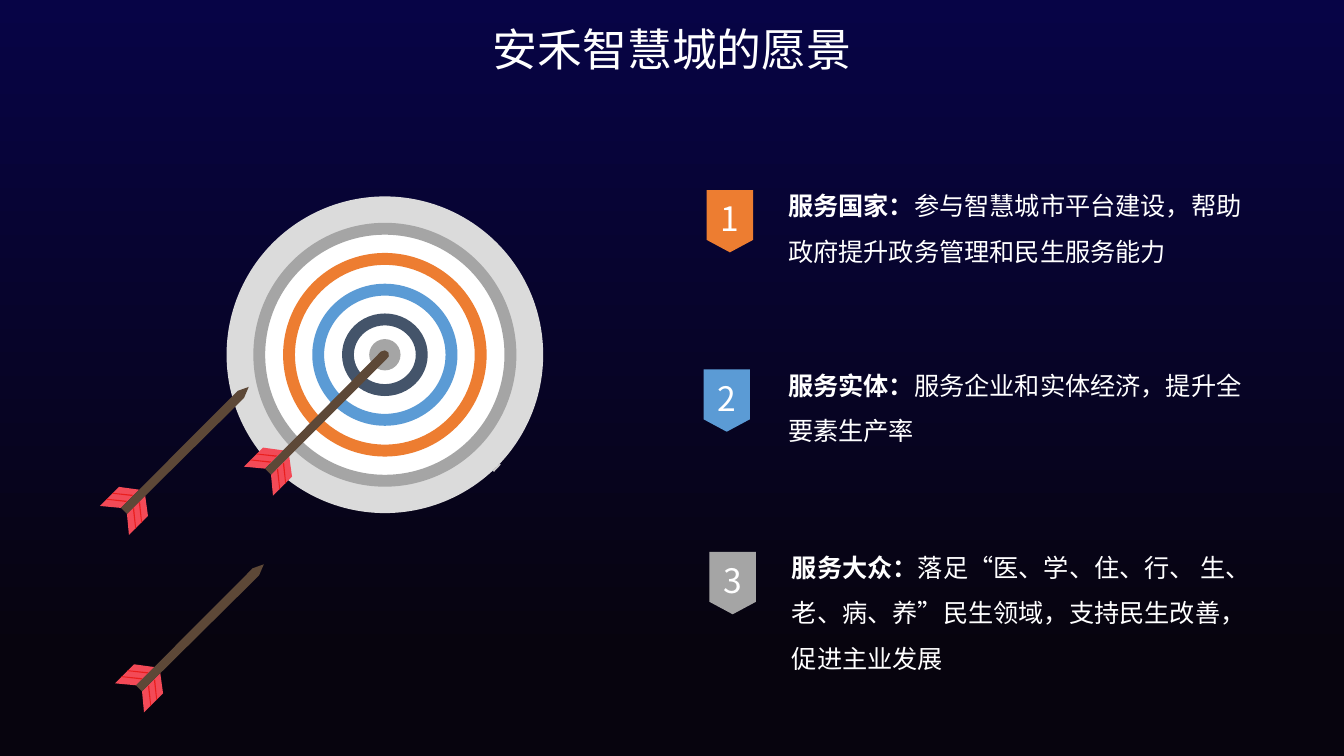
from dataclasses import dataclass

from lxml.etree import SubElement
from pptx import Presentation
from pptx.dml.color import RGBColor
from pptx.enum.shapes import MSO_SHAPE
from pptx.enum.text import MSO_ANCHOR, MSO_AUTO_SIZE, PP_ALIGN
from pptx.oxml.ns import qn
from pptx.util import Cm, Pt

FONT = "Noto Sans CJK SC"
WHITE = RGBColor(0xFF, 0xFF, 0xFF)
NAVY = RGBColor(0x07, 0x04, 0x46)
BLACK = RGBColor(0x07, 0x04, 0x0E)
PALE = RGBColor(0xDB, 0xDB, 0xDB)
GLINT = RGBColor(0xC9, 0xC8, 0xC8)
GREY = RGBColor(0xA5, 0xA5, 0xA5)
ORANGE = RGBColor(0xED, 0x7D, 0x31)
BLUE = RGBColor(0x5B, 0x9B, 0xD5)
SLATE = RGBColor(0x44, 0x54, 0x6A)
PINK = RGBColor(0xF3, 0x4A, 0x57)
RED = RGBColor(0xEA, 0x1E, 0x1D)
BROWN = RGBColor(0x5D, 0x48, 0x37)

Points = list[tuple[float, float]]


@dataclass
class Disc:
    width: float
    height: float
    color: RGBColor
    band: float = 0


@dataclass
class Arrow:
    x: float
    y: float
    tip: Points


@dataclass
class Goal:
    x: float
    y: float
    width: float
    height: float
    gap: float
    color: RGBColor
    head: str
    body: str


CENTER = (9.7, 8.94)
BAND = 0.3
DISCS = [
    Disc(7.98, 7.98, PALE),
    Disc(6.35, 6.35, WHITE),
    Disc(6.63, 6.65, GREY, BAND),
    Disc(5.13, 5.13, ORANGE, BAND),
    Disc(3.66, 3.58, BLUE, BAND),
    Disc(2.16, 2.08, SLATE, BAND),
    Disc(0.79, 0.79, GREY),
]

SHARP = [(2.79, -3.1), (3.07, -3.2), (2.95, -2.92)]
BLUNT = [(2.77, -3.1), (2.87, -3.13), (2.96, -3.08), (2.97, -2.98), (2.92, -2.92)]
BACK = Arrow(3.58, 17.42, SHARP)
FRONT = [Arrow(6.83, 11.96, BLUNT), Arrow(3.2, 12.95, SHARP)]

VANE = [(0.46, -0.46), (0.53, 0.05), (0.05, 0.53), (0, 0)]
STRIPE = [(0.33, -0.3), (0.38, 0.2), (0.36, 0.23), (0.3, -0.28)]
NOCK = [(0, 0), (-0.15, -0.15)]
SHINE = [(12.6, 11.68), (12.62, 11.71), (12.45, 11.89), (12.42, 11.86)]

GOALS = [
    Goal(19.86, 4.42, 11.66, 2.18, 2.05, ORANGE, "服务国家：",
         "参与智慧城市平台建设，帮助政府提升政务管理和民生服务能力"),
    Goal(19.86, 8.94, 11.51, 2.18, 2.13, BLUE, "服务实体：",
         "服务企业和实体经济，提升全要素生产率"),
    Goal(19.96, 13.54, 11.79, 3.33, 2.08, GREY, "服务大众：",
         "落足“医、学、住、行、 生、老、病、养”民生领域，支持民生改善，促进主业发展"),
]


def paint(shape, color: RGBColor) -> None:
    shape.shadow.inherit = False
    shape.fill.solid()
    shape.fill.fore_color.rgb = color
    shape.line.fill.background()


def style(para, size: float) -> None:
    font = para.font
    font.size = Pt(size)
    font.color.rgb = WHITE
    font.name = FONT
    SubElement(font._rPr, qn("a:ea"), typeface=FONT)


def clear(frame) -> None:
    frame.margin_left = frame.margin_right = 0
    frame.margin_top = frame.margin_bottom = 0


def trace(shapes, points: Points, color: RGBColor, x: float = 0, y: float = 0) -> None:
    spots = [(Cm(x + dx), Cm(y + dy)) for dx, dy in points]
    path = shapes.build_freeform(*spots[0])
    path.add_line_segments(spots[1:], close=True)
    paint(path.convert_to_shape(), color)


def flip(points: Points) -> Points:
    return [(-y - 0.15, -x - 0.15) for x, y in points]


def draw_disc(shapes, disc: Disc) -> None:
    kind = MSO_SHAPE.DONUT if disc.band else MSO_SHAPE.OVAL
    shape = shapes.add_shape(kind, Cm(CENTER[0] - disc.width / 2), Cm(CENTER[1] - disc.height / 2),
                             Cm(disc.width), Cm(disc.height))
    if disc.band:
        shape.adjustments[0] = disc.band / min(disc.width, disc.height)
    paint(shape, disc.color)


def draw_arrow(shapes, arrow: Arrow) -> None:
    group = shapes.add_group_shape().shapes
    inner = [(x - 0.15, y + 0.15) for x, y in STRIPE]
    for points, color in ((VANE, PINK), (STRIPE, RED), (inner, RED)):
        for side in (points, flip(points)):
            trace(group, side, color, arrow.x, arrow.y)
    trace(group, NOCK + arrow.tip, BROWN, arrow.x, arrow.y)


def draw_goal(shapes, rank: int, goal: Goal) -> None:
    badge = shapes.add_shape(MSO_SHAPE.FLOWCHART_OFFPAGE_CONNECTOR, Cm(goal.x - goal.gap),
                             Cm(goal.y + 0.37), Cm(1.17), Cm(1.57))
    paint(badge, goal.color)
    frame = badge.text_frame
    clear(frame)
    frame.margin_top = Cm(0.18)
    frame.vertical_anchor = MSO_ANCHOR.MIDDLE
    para = frame.paragraphs[0]
    para.text = str(rank)
    para.alignment = PP_ALIGN.CENTER
    style(para, 24)

    frame = shapes.add_textbox(Cm(goal.x), Cm(goal.y), Cm(goal.width), Cm(goal.height)).text_frame
    clear(frame)
    frame.word_wrap = True
    para = frame.paragraphs[0]
    para.line_spacing = 1.5
    style(para, 18)
    for text, bold in ((goal.head, True), (goal.body, False)):
        run = para.add_run()
        run.text = text
        run.font.bold = bold


def draw_title(title, text: str) -> None:
    title.left, title.top, title.width, title.height = Cm(2.26), Cm(0.41), Cm(29.36), Cm(1.78)
    frame = title.text_frame
    frame.auto_size = MSO_AUTO_SIZE.NONE
    frame.vertical_anchor = MSO_ANCHOR.MIDDLE
    para = frame.paragraphs[0]
    para.text = text
    para.alignment = PP_ALIGN.CENTER
    para.line_spacing = 0.9
    style(para, 32)


def main() -> None:
    deck = Presentation()
    deck.slide_width, deck.slide_height = Cm(33.87), Cm(19.05)
    slide = deck.slides.add_slide(deck.slide_layouts[5])
    fill = slide.background.fill
    fill.gradient()
    fill.gradient_angle = 270
    for stop, color, place in zip(fill.gradient_stops, (NAVY, BLACK), (0, 0.87)):
        stop.color.rgb = color
        stop.position = place

    shapes = slide.shapes
    draw_title(shapes.title, "安禾智慧城的愿景")
    draw_arrow(shapes, BACK)
    for disc in DISCS:
        draw_disc(shapes, disc)
    trace(shapes, SHINE, GLINT)
    for arrow in FRONT:
        draw_arrow(shapes, arrow)
    for rank, goal in enumerate(GOALS, 1):
        draw_goal(shapes, rank, goal)
    deck.save("out.pptx")


if __name__ == "__main__":
    main()
